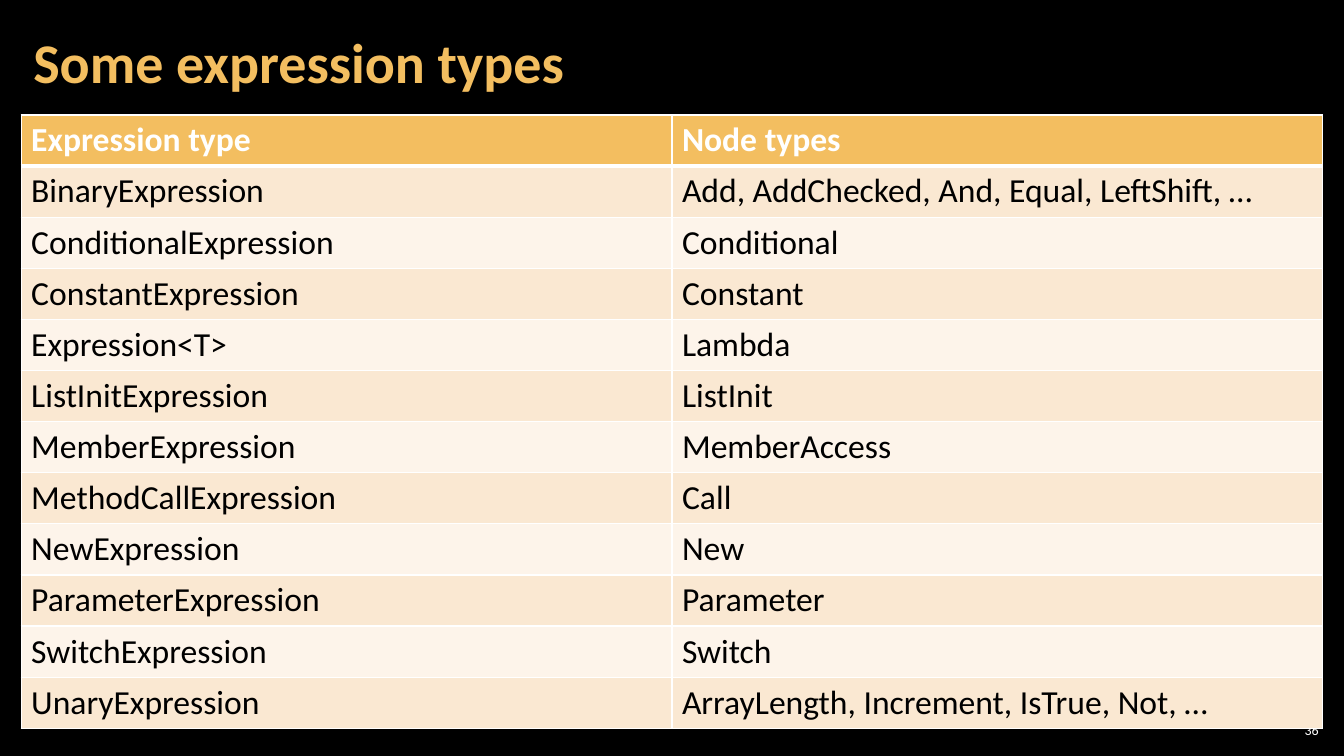
from dataclasses import dataclass

from lxml import etree
from pptx import Presentation
from pptx.dml.color import RGBColor
from pptx.enum.text import MSO_ANCHOR, MSO_AUTO_SIZE, PP_ALIGN
from pptx.oxml.ns import qn
from pptx.util import Inches, Pt

LEFT, RIGHT = PP_ALIGN.LEFT, PP_ALIGN.RIGHT
MIDDLE = MSO_ANCHOR.MIDDLE
NO_FIT = MSO_AUTO_SIZE.NONE


@dataclass(frozen=True)
class Theme:
    """Hold the colours, font and type sizes of the slide."""
    font: str = "Calibri"
    back: str = "000000"
    gold: str = "F3BE60"
    white: str = "FFFFFF"
    ink: str = "000000"
    bands: tuple = ("FAE8D2", "FDF4EA")
    title: int = 40
    cell: int = 24
    page: int = 10
    thin: int = 1
    thick: int = 3


THEME = Theme()
ROWS = (
    ("Expression type", "Node types"),
    ("BinaryExpression", "Add, AddChecked, And, Equal, LeftShift, …"),
    ("ConditionalExpression", "Conditional"),
    ("ConstantExpression", "Constant"),
    ("Expression<T>", "Lambda"),
    ("ListInitExpression", "ListInit"),
    ("MemberExpression", "MemberAccess"),
    ("MethodCallExpression", "Call"),
    ("NewExpression", "New"),
    ("ParameterExpression", "Parameter"),
    ("SwitchExpression", "Switch"),
    ("UnaryExpression", "ArrayLength, Increment, IsTrue, Not, …"),
)


def assign(item, values):
    """Set each named value on an item."""
    for name, value in values.items():
        setattr(item, name, value)


def paint(fill, color):
    """Give a fill one solid colour."""
    fill.solid()
    fill.fore_color.rgb = RGBColor.from_string(color)


def write(frame, text, size, color, bold=False, align=LEFT):
    """Write one formatted line into a text frame."""
    line = frame.paragraphs[0]
    line.alignment = align
    run = line.add_run()
    run.text = text
    assign(run.font, {"name": THEME.font, "size": Pt(size), "bold": bold})
    run.font.color.rgb = RGBColor.from_string(color)
    return line


def fit(frame, side, edge):
    """Set the margins and anchor of a text frame."""
    assign(frame, {
        "margin_left": Inches(side), "margin_right": Inches(side),
        "margin_top": Inches(edge), "margin_bottom": Inches(edge),
        "vertical_anchor": MIDDLE, "word_wrap": True, "auto_size": NO_FIT,
    })


def place(shape, left, top, width, height):
    """Move and size a shape in inches."""
    assign(shape, {"left": Inches(left), "top": Inches(top),
                   "width": Inches(width), "height": Inches(height)})


def add_title(slide, text):
    """Fill the title placeholder."""
    title = slide.shapes.title
    place(title, 0.21, 0.04, 10.47, 1.21)
    fit(title.text_frame, 0.12, 0.04)
    line = write(title.text_frame, text, THEME.title, THEME.gold, True)
    line.line_spacing = 0.9


def add_page(slide, text):
    """Add the page number at the lower right."""
    box = slide.shapes.add_textbox(
        Inches(12.65), Inches(7.14), Inches(0.47), Inches(0.21))
    fit(box.text_frame, 0.04, 0.04)
    write(box.text_frame, text, THEME.page, THEME.white, align=RIGHT)


def add_edges(cell, widths):
    """Draw white borders of the given widths around a cell."""
    props = cell._tc.get_or_add_tcPr()
    for side, width in widths.items():
        edge = etree.SubElement(props, qn(f"a:ln{side}"), w=str(Pt(width)))
        solid = etree.SubElement(edge, qn("a:solidFill"))
        etree.SubElement(solid, qn("a:srgbClr"), val=THEME.white)


def add_grid(slide, rows):
    """Add the table with a gold head and banded rows."""
    grid = slide.shapes.add_table(
        len(rows), len(rows[0]), Inches(0.21), Inches(1.14),
        Inches(12.91), Inches(0.5 * len(rows))).table
    for row, texts in enumerate(rows):
        head = row == 0
        fill = THEME.gold if head else THEME.bands[(row - 1) % 2]
        color = THEME.white if head else THEME.ink
        edges = {"L": THEME.thin, "R": THEME.thin,
                 "T": THEME.thick if row == 1 else THEME.thin,
                 "B": THEME.thick if head else THEME.thin}
        for col, text in enumerate(texts):
            cell = grid.cell(row, col)
            add_edges(cell, edges)
            paint(cell.fill, fill)
            write(cell.text_frame, text, THEME.cell, color, head)


def main():
    """Build and save the slide."""
    deck = Presentation()
    assign(deck, {"slide_width": Inches(13.33), "slide_height": Inches(7.5)})
    slide = deck.slides.add_slide(deck.slide_layouts.get_by_name("Title Only"))
    paint(slide.background.fill, THEME.back)
    add_title(slide, "Some expression types")
    add_page(slide, "36")
    add_grid(slide, ROWS)
    deck.save("out.pptx")


if __name__ == "__main__":
    main()
